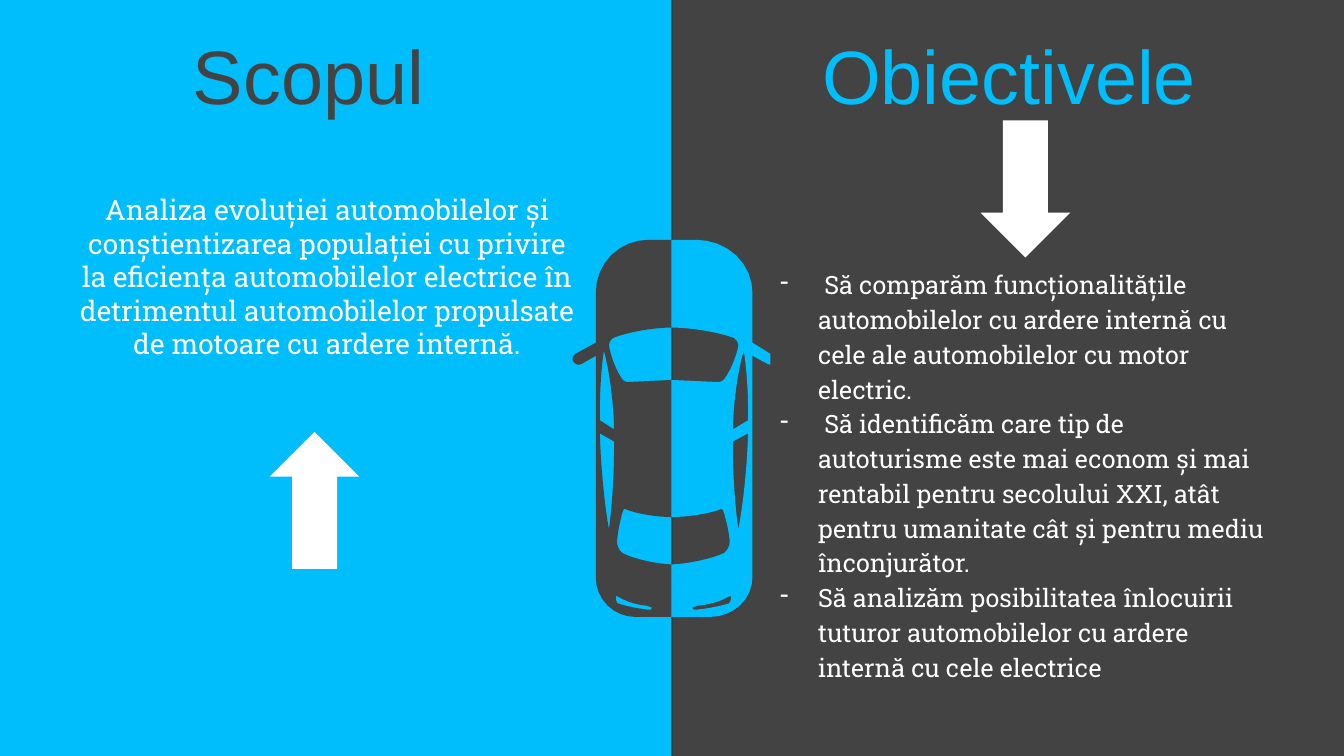
from dataclasses import dataclass
from math import sqrt

from lxml.etree import SubElement
from pptx import Presentation
from pptx.dml.color import RGBColor
from pptx.enum.shapes import MSO_SHAPE
from pptx.enum.text import MSO_ANCHOR, PP_ALIGN
from pptx.oxml.ns import qn
from pptx.util import Emu, Inches, Pt

CYAN = RGBColor(0x00, 0xBD, 0xFB)
GRAPHITE = RGBColor(0x43, 0x43, 0x43)
BACKDROP = RGBColor(0x2C, 0x2C, 0x2C)
WHITE = RGBColor(0xFF, 0xFF, 0xFF)

# The slide is a grid of 1333 columns by 750 rows of equal square cells.
COLUMNS, ROWS = 1333, 750
CELL = Inches(7.5) // ROWS
SEAM, ROOF = 666, 238
CAR_REACH = 98
CURVE_STEPS = 8
BULLET_INDENT = 37.5

Contour = list[tuple[int, ...]]


@dataclass
class Block:
    shape: MSO_SHAPE
    cells: tuple[float, float, float, float]
    color: RGBColor


@dataclass
class Label:
    cells: tuple[float, float, float, float]
    paragraphs: list[str]
    font: dict
    color: RGBColor
    layout: dict
    anchor: MSO_ANCHOR = MSO_ANCHOR.TOP
    bullet: str = ""


@dataclass
class CarHalf:
    color: RGBColor
    side: int
    stretch: float


HEADING = {"name": "Arial", "size": Pt(54)}
HEADING_LAYOUT = {"alignment": PP_ALIGN.CENTER, "line_spacing": 0.9}
HEADING_TOP, HEADING_HEIGHT = 33, 92

BLOCKS = [
    Block(MSO_SHAPE.RECTANGLE, (667, 0, 666, ROWS), GRAPHITE),
    Block(MSO_SHAPE.RECTANGLE, (0, 0, 666, ROWS), CYAN),
    Block(MSO_SHAPE.UP_ARROW, (267.5, 428.5, 89, 136), WHITE),
    Block(MSO_SHAPE.DOWN_ARROW, (972.5, 119.5, 89, 136), WHITE),
]

LABELS = [
    Label((106, HEADING_TOP, 400, HEADING_HEIGHT), ["Scopul"], HEADING, GRAPHITE,
          HEADING_LAYOUT, MSO_ANCHOR.MIDDLE),
    Label((751, HEADING_TOP, 500, HEADING_HEIGHT), ["Obiectivele"], HEADING, CYAN,
          HEADING_LAYOUT, MSO_ANCHOR.MIDDLE),
    Label((64, 186, 521, 331),
          ["Analiza evoluției automobilelor și conștientizarea populației cu privire "
           "la eficiența automobilelor electrice în detrimentul automobilelor propulsate "
           "de motoare cu ardere internă."],
          {"name": "Roboto Slab", "size": Pt(20)}, WHITE, {"alignment": PP_ALIGN.CENTER}),
    Label((764, 258, 506, 452),
          [" Să comparăm funcționalitățile automobilelor cu ardere internă cu cele ale "
           "automobilelor cu motor electric.",
           " Să identificăm care tip de autoturisme este mai econom și mai rentabil pentru "
           "secolului XXI, atât pentru umanitate cât și pentru mediu înconjurător.",
           "Să analizăm posibilitatea înlocuirii tuturor automobilelor cu ardere internă "
           "cu cele electrice"],
          {"name": "Roboto Slab", "size": Pt(18)}, WHITE, {"line_spacing": 1.15}, bullet="-"),
]

# Cells away from the seam and below the roof: a line end, or an arc's corner and end.
BODY = [(0, 0), (23, 0), (75, 0, 75, 52), (75, 102), (95, 113), (101, 117, 97, 121),
        (94, 126, 89, 123), (75, 115), (75, 335), (75, 374, 36, 374), (0, 374),
        (0, 322), (28, 321, 48, 311), (54, 308, 54, 299), (53, 286, 50, 276),
        (48, 265, 46, 267), (28, 275, 0, 275), (0, 139), (42, 141), (46, 142, 49, 138),
        (59, 124, 62, 105), (62, 99, 57, 97), (32, 87, 0, 87)]
TAIL_LIGHT = [(55, 353), (56, 361, 52, 361), (37, 366, 21, 367), (19, 365), (24, 363),
              (40, 362, 51, 355)]
REAR_SIDE_WINDOW = [(71, 192), (70, 245, 62, 287), (56, 245, 57, 200)]
FRONT_SIDE_WINDOW = [(67, 110), (72, 140, 71, 179), (57, 188), (57, 145, 67, 110)]
CAR_CONTOURS = [BODY, TAIL_LIGHT, REAR_SIDE_WINDOW, FRONT_SIDE_WINDOW]
CAR_HALVES = [CarHalf(GRAPHITE, -1, 1), CarHalf(CYAN, 1, 1.07)]


def to_emu(cells) -> list[Emu]:
    return [Emu(round(n * CELL)) for n in cells]


def paint(shape, color: RGBColor) -> None:
    shape.shadow.inherit = False
    shape.fill.solid()
    shape.fill.fore_color.rgb = color
    shape.line.fill.background()


def flatten(contour: Contour) -> list[tuple[float, float]]:
    """Turn the lines and elliptic arcs of a contour into points."""
    points = [contour[0]]
    for segment in contour[1:]:
        if len(segment) == 2:
            points.append(segment)
            continue
        knots = (points[-1], segment[:2], segment[2:])
        for step in range(1, CURVE_STEPS + 1):
            t = step / CURVE_STEPS
            weights = ((1 - t) ** 2, sqrt(2) * t * (1 - t), t * t)
            points.append(tuple(sum(w * k[axis] for w, k in zip(weights, knots))
                                / sum(weights) for axis in (0, 1)))
    return points


def draw_car_half(s, half: CarHalf) -> None:
    outlines = [[to_emu((SEAM + half.side * min(x * half.stretch, CAR_REACH), ROOF + y))
                 for x, y in flatten(contour)] for contour in CAR_CONTOURS]
    builder = s.shapes.build_freeform(*outlines[0][0])
    for i, outline in enumerate(outlines):
        if i:
            builder.move_to(*outline[0])
        builder.add_line_segments(outline[1:], close=True)
    paint(builder.convert_to_shape(), half.color)


def add_bullet(p, char: str) -> None:
    pPr = p._p.get_or_add_pPr()
    indent = round(BULLET_INDENT * CELL)
    pPr.set("marL", str(indent))
    pPr.set("indent", str(-indent))
    SubElement(pPr, qn("a:buChar")).set("char", char)


def draw_label(s, label: Label) -> None:
    tf = s.shapes.add_textbox(*to_emu(label.cells)).text_frame
    tf.word_wrap = True
    tf.vertical_anchor = label.anchor
    for i, text in enumerate(label.paragraphs):
        p = tf.add_paragraph() if i else tf.paragraphs[0]
        for name, value in label.layout.items():
            setattr(p, name, value)
        if label.bullet:
            add_bullet(p, label.bullet)
        r = p.add_run()
        r.text = text
        for name, value in label.font.items():
            setattr(r.font, name, value)
        r.font.color.rgb = label.color


def main() -> None:
    prs = Presentation()
    prs.slide_width, prs.slide_height = to_emu((COLUMNS, ROWS))
    s = prs.slides.add_slide(prs.slide_layouts[6])
    s.background.fill.solid()
    s.background.fill.fore_color.rgb = BACKDROP
    for block in BLOCKS:
        paint(s.shapes.add_shape(block.shape, *to_emu(block.cells)), block.color)
    for half in CAR_HALVES:
        draw_car_half(s, half)
    for label in LABELS:
        draw_label(s, label)
    prs.save("out.pptx")


if __name__ == "__main__":
    main()
